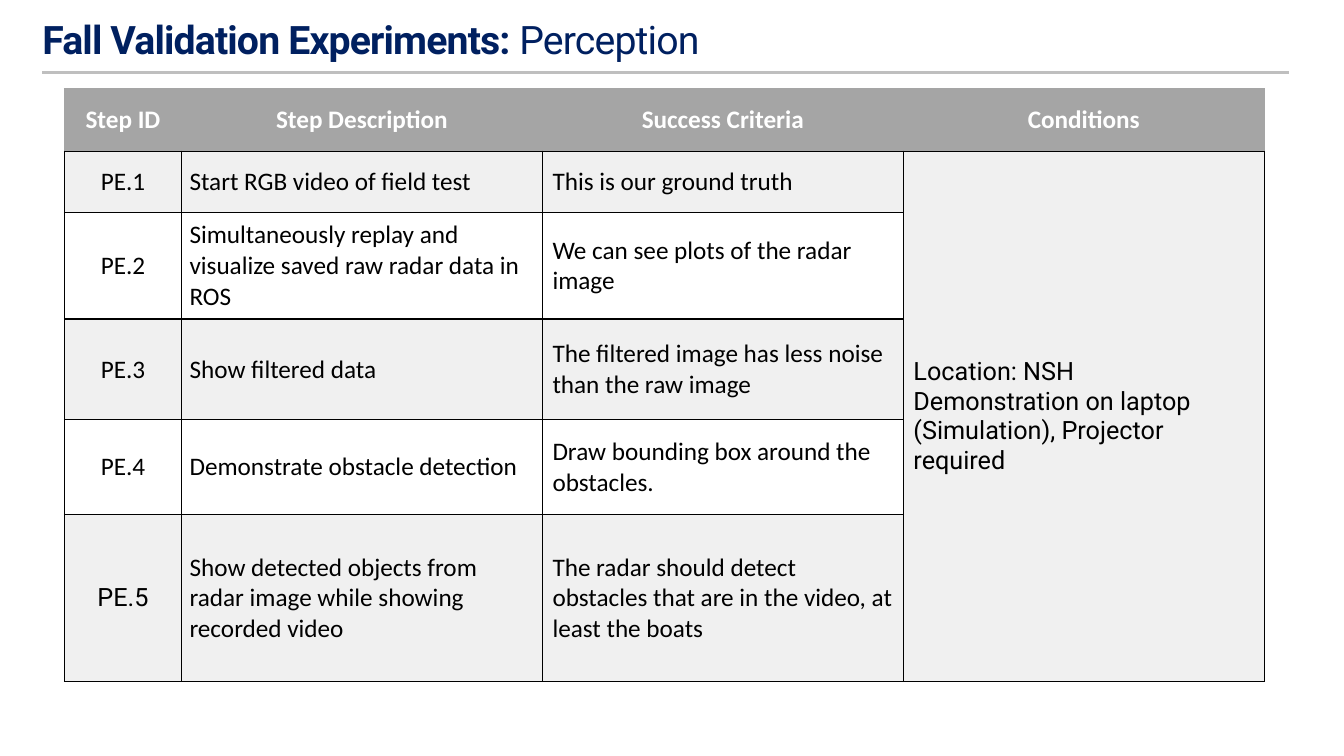
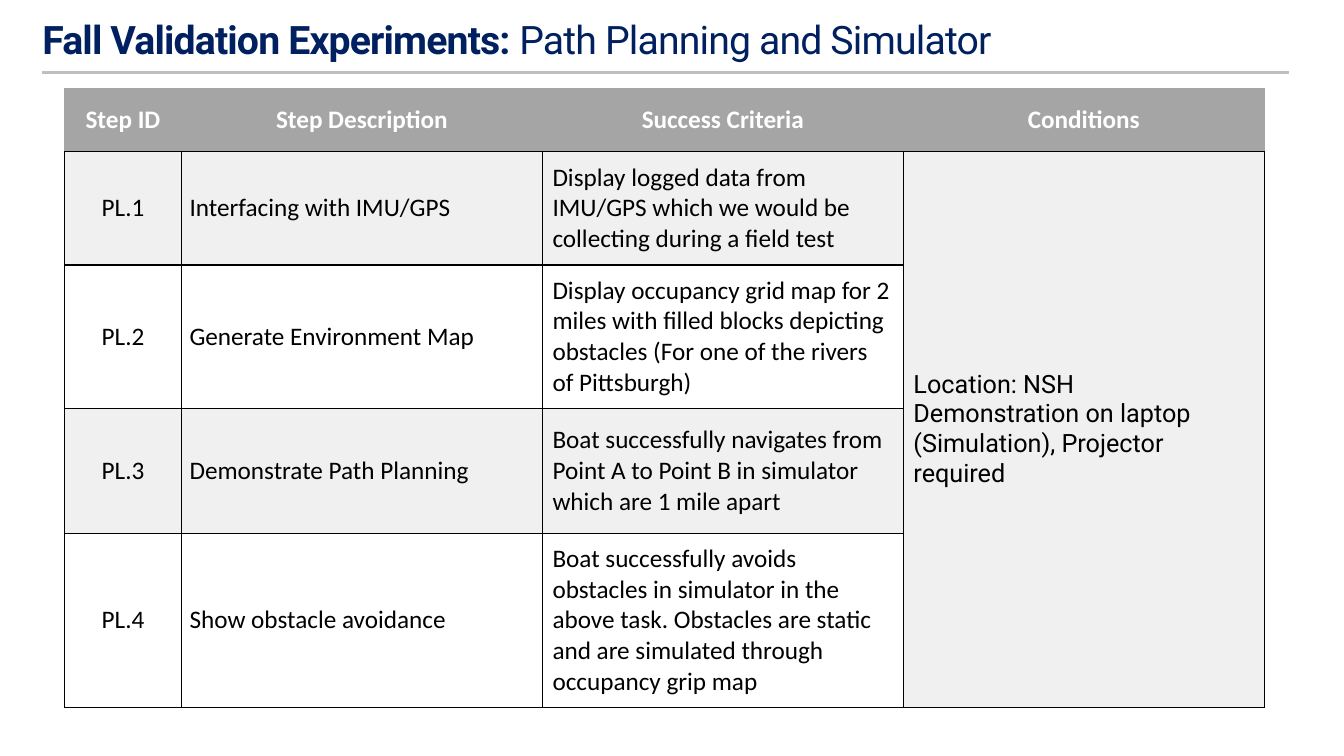
from lxml.etree import SubElement
from pptx import Presentation
from pptx.dml.color import RGBColor
from pptx.enum.shapes import MSO_CONNECTOR
from pptx.enum.text import MSO_ANCHOR, MSO_AUTO_SIZE, PP_ALIGN
from pptx.oxml.ns import qn
from pptx.util import Pt

PX = 9144

SECTION = "Fall Validation Experiments: "
HEADINGS = ["Step ID", "Step Description", "Success Criteria", "Conditions"]
CONDITIONS = "Location: NSH\nDemonstration on laptop (Simulation), Projector required"

PAGES = [
    {
        "topic": "Perception",
        "table_height": 588,
        "row_heights": [62, 61, 89, 100, 94, 166],
        "roboto_ids": ["PE.5"],
        "steps": [
            ("PE.1", "Start RGB video of field test", "This is our ground truth"),
            ("PE.2", "Simultaneously replay and\nvisualize saved raw radar data in ROS",
             "We can see plots of the radar\nimage"),
            ("PE.3", "Show filtered data",
             "The filtered image has less noise\nthan the raw image"),
            ("PE.4", "Demonstrate obstacle detection",
             "Draw bounding box around the obstacles."),
            ("PE.5", "Show detected objects from\nradar image while showing\nrecorded video",
             "The radar should detect\nobstacles that are in the video, at least the boats"),
        ],
    },
    {
        "topic": "Path Planning and Simulator",
        "table_height": 610,
        "row_heights": [62, 113, 127, 124, 166],
        "roboto_ids": [],
        "steps": [
            ("PL.1", "Interfacing with IMU/GPS",
             "Display logged data from IMU/GPS which we would be collecting during a field test"),
            ("PL.2", "Generate Environment Map",
             "Display occupancy grid map for 2 miles with filled blocks depicting obstacles "
             "(For one of the rivers of Pittsburgh)"),
            ("PL.3", "Demonstrate Path Planning",
             "Boat successfully navigates from Point A to Point B in simulator "
             "which are 1 mile apart"),
            ("PL.4", "Show obstacle avoidance",
             "Boat successfully avoids obstacles in simulator in the above task. "
             "Obstacles are static and are simulated through occupancy grip map"),
        ],
    },
]

THEME = {
    "navy": "002060", "rule": "BFBFBF", "header": "A5A5A5", "grid": "000000",
    "text": "000000", "header_text": "FFFFFF", "bands": ["F0F0F0", "FFFFFF"],
    "title_font": "Roboto", "body_font": "Calibri",
    "title_size": Pt(28), "body_size": Pt(18),
    "title_tracking": -60, "rule_width": Pt(1.75), "grid_width": Pt(1),
}

SLIDE_SIZE = (1333, 750)
CONTENT_LEFT, CONTENT_RIGHT = 42, 1278
TITLE_HEIGHT, RULE_Y = 71, 72
TABLE_LEFT, TABLE_TOP = 64, 88
COLUMN_WIDTHS = [116, 358, 358, 358]
HEADER_INSETS = (10, 5)
COLUMN_INSETS = [(8, 7), (8, 7), (10, 10), (10, 10)]


def assign(target, values):
    for name, value in values.items():
        setattr(target, name, value)


def style_font(font, color, **values):
    assign(font, values)
    font.color.rgb = RGBColor.from_string(color)


def set_insets(target, across, down):
    assign(target, {
        "margin_left": across * PX, "margin_right": across * PX,
        "margin_top": down * PX, "margin_bottom": down * PX,
    })


def set_borders(cell, colors):
    properties = cell._tc.get_or_add_tcPr()
    for index, (side, color) in enumerate(zip("LRTB", colors)):
        line = SubElement(properties, qn(f"a:ln{side}"), w=str(THEME["grid_width"]))
        fill = SubElement(line, qn("a:solidFill"))
        SubElement(fill, qn("a:srgbClr"), val=color)
        properties.insert(index, line)


def add_title(page, topic):
    title = page.shapes.title
    assign(title, {
        "left": CONTENT_LEFT * PX, "top": 0,
        "width": (CONTENT_RIGHT - CONTENT_LEFT) * PX, "height": TITLE_HEIGHT * PX,
    })
    frame = title.text_frame
    assign(frame, {
        "margin_left": 0, "margin_right": 0, "margin_top": 17 * PX, "margin_bottom": 6 * PX,
        "vertical_anchor": MSO_ANCHOR.MIDDLE, "auto_size": MSO_AUTO_SIZE.NONE,
        "word_wrap": True,
    })
    para = frame.paragraphs[0]
    assign(para, {"alignment": PP_ALIGN.LEFT, "line_spacing": 0.9})
    for text, bold in [(SECTION, True), (topic, False)]:
        span = para.add_run()
        span.text = text
        style_font(span.font, THEME["navy"], name=THEME["title_font"],
                   size=THEME["title_size"], bold=bold)
        span._r.get_or_add_rPr().set("spc", str(THEME["title_tracking"]))


def add_rule(page):
    rule = page.shapes.add_connector(
        MSO_CONNECTOR.STRAIGHT, CONTENT_LEFT * PX, RULE_Y * PX,
        CONTENT_RIGHT * PX, RULE_Y * PX)
    rule.line.color.rgb = RGBColor.from_string(THEME["rule"])
    rule.line.width = THEME["rule_width"]
    SubElement(rule._element.spPr, qn("a:effectLst"))


def fill_cell(cell, text, row, column, font_name):
    is_header = row == 0
    cell.text = text
    cell.vertical_anchor = MSO_ANCHOR.MIDDLE
    set_insets(cell, *(HEADER_INSETS if is_header else COLUMN_INSETS[column]))
    band = 0 if column == 3 else (row - 1) % 2
    cell.fill.solid()
    cell.fill.fore_color.rgb = RGBColor.from_string(
        THEME["header"] if is_header else THEME["bands"][band])
    side = THEME["header"] if is_header else THEME["grid"]
    set_borders(cell, [side, side, side, THEME["grid"]])
    centred = is_header or column == 0
    for para in cell.text_frame.paragraphs:
        para.alignment = PP_ALIGN.CENTER if centred else PP_ALIGN.LEFT
        for span in para.runs:
            style_font(span.font, THEME["header_text" if is_header else "text"],
                       name=font_name, size=THEME["body_size"], bold=is_header)


def add_steps_table(page, content):
    steps = content["steps"]
    rows = [HEADINGS] + [[*step, "" if index else CONDITIONS]
                         for index, step in enumerate(steps)]
    holder = page.shapes.add_table(
        len(rows), len(HEADINGS), TABLE_LEFT * PX, TABLE_TOP * PX,
        sum(COLUMN_WIDTHS) * PX, content["table_height"] * PX)
    table = holder.table
    table.horz_banding = False
    for column, width in zip(table.columns, COLUMN_WIDTHS):
        column.width = width * PX
    for row, height in zip(table.rows, content["row_heights"]):
        row.height = height * PX
    holder.height = content["table_height"] * PX
    roboto_texts = [CONDITIONS, *content["roboto_ids"]]
    for row, texts in enumerate(rows):
        for column, text in enumerate(texts):
            font_name = THEME["title_font" if text in roboto_texts else "body_font"]
            fill_cell(table.cell(row, column), text, row, column, font_name)
    table.cell(1, 3).merge(table.cell(len(steps), 3))


def main():
    deck = Presentation()
    deck.slide_width, deck.slide_height = (length * PX for length in SLIDE_SIZE)
    for content in PAGES:
        page = deck.slides.add_slide(deck.slide_layouts[5])
        add_title(page, content["topic"])
        add_rule(page)
        add_steps_table(page, content)
    deck.save("out.pptx")


if __name__ == "__main__":
    main()
